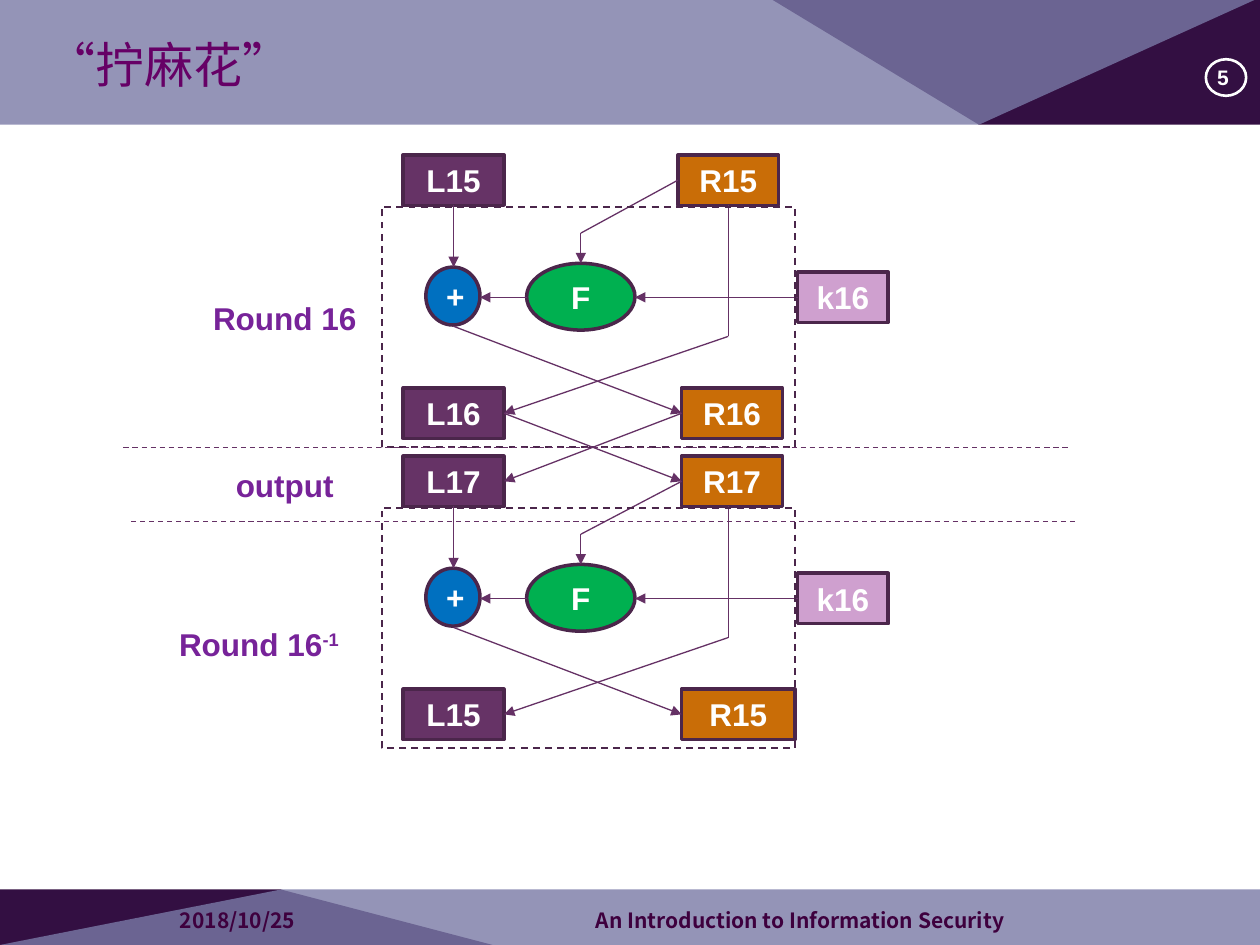
from lxml import etree
from pptx import Presentation
from pptx.dml.color import RGBColor
from pptx.enum.dml import MSO_LINE
from pptx.enum.shapes import MSO_CONNECTOR, MSO_SHAPE
from pptx.enum.text import MSO_ANCHOR, PP_ALIGN
from pptx.oxml.ns import qn
from pptx.util import Inches, Pt

RECT, OVAL = MSO_SHAPE.RECTANGLE, MSO_SHAPE.OVAL
STRAIGHT, DASH = MSO_CONNECTOR.STRAIGHT, MSO_LINE.DASH
MIDDLE, LEFT, CENTER = MSO_ANCHOR.MIDDLE, PP_ALIGN.LEFT, PP_ALIGN.CENTER
TOP_SITE, LEFT_SITE, BOTTOM_SITE, RIGHT_SITE = range(4)
LATIN, CJK = "Arial", "Noto Sans CJK SC"
COLORS = {
    "dark": "330F42", "band": "7A7AA6", "title": "660066", "footer": "3E003E",
    "white": "FFFFFF", "left": "663366", "right": "C96D07", "function": "00B050",
    "xor": "0070C0", "key": "CFA0CF", "border": "4B264B", "arrow": "653165",
    "label": "772399",
}
ROUND_STEP = 2.39


def rgb(name):
    return RGBColor.from_string(COLORS[name])


class Diagram:
    """Draws styled elements on the current slide; lengths are in inches."""

    def __init__(self, slide):
        self.s = slide

    def fill_text(self, sp, text, color, size=18, font=LATIN, bold=True, align=CENTER, sup=""):
        tf = sp.text_frame
        tf.word_wrap, tf.vertical_anchor = True, MIDDLE
        p = tf.paragraphs[0]
        p.alignment = align
        for part in filter(None, (text, sup)):
            r = p.add_run()
            r.text = part
            for key, value in {"size": Pt(size), "name": font, "bold": bold}.items():
                setattr(r.font, key, value)
            r.font.color.rgb = rgb(color)
            rPr = r._r.get_or_add_rPr()
            if font == CJK:
                etree.SubElement(rPr, qn("a:ea"), typeface=CJK)
            if part is sup:
                rPr.set("baseline", "30000")

    def title(self, box, text):
        sp = self.s.shapes.title
        for key, value in zip(("left", "top", "width", "height"), box):
            setattr(sp, key, Inches(value))
        self.fill_text(sp, text, "title", 28, CJK, False, LEFT)

    def text(self, box, text, color, **style):
        sp = self.s.shapes.add_textbox(*map(Inches, box))
        self.fill_text(sp, text, color, **style)

    def node(self, kind, box, text="", fill=None, line="border", weight=2, dash=None, size=18):
        sp = self.s.shapes.add_shape(kind, *map(Inches, box))
        sp.shadow.inherit = False
        if fill:
            sp.fill.solid()
            sp.fill.fore_color.rgb = rgb(fill)
        else:
            sp.fill.background()
        sp.line.color.rgb = rgb(line)
        sp.line.width = Pt(weight)
        if dash:
            sp.line.dash_style = dash
        if text:
            self.fill_text(sp, text, "white", size)
        return sp

    def polygon(self, points, fill, opacity=100):
        pts = [(Inches(x), Inches(y)) for x, y in points]
        builder = self.s.shapes.build_freeform(*pts[0], scale=1.0)
        builder.add_line_segments(pts[1:], close=True)
        sp = builder.convert_to_shape()
        sp.shadow.inherit = False
        sp.line.fill.background()
        sp.fill.solid()
        sp.fill.fore_color.rgb = rgb(fill)
        if opacity < 100:
            color = sp._element.spPr.find(qn("a:solidFill"))[0]
            etree.SubElement(color, qn("a:alpha"), val=str(opacity * 1000))

    def line(self, start, end, arrow=True, dash=None):
        """Each end is either an (x, y) point or a (shape, site) pair."""
        joined = [not isinstance(e[0], (int, float)) for e in (start, end)]
        points = [(0, 0) if j else e for j, e in zip(joined, (start, end))]
        c = self.s.shapes.add_connector(STRAIGHT, *(Inches(v) for pt in points for v in pt))
        if joined[0]:
            c.begin_connect(*start)
        if joined[1]:
            c.end_connect(*end)
        c.line.color.rgb = rgb("arrow")
        c.line.width = Pt(0.75)
        if dash:
            c.line.dash_style = dash
        spPr = c._element.spPr
        if arrow:
            etree.SubElement(spPr.find(qn("a:ln")), qn("a:tailEnd"), type="triangle")
        etree.SubElement(spPr, qn("a:effectLst"))

    def half(self, x, y, text, side, width=0.8):
        return self.node(RECT, (x, y, width, 0.4), text, side)

    def round(self, dy, left_in, right_in, left_out, right_out, out_width=0.8):
        """One Feistel round, shifted down by dy; returns its four half blocks."""
        right_x = 5.41 if dy else 5.38
        l_in = self.half(3.2, 1.23 + dy, left_in, "left")
        r_in = self.half(right_x, 1.23 + dy, right_in, "right")
        l_out = self.half(3.2, 3.08 + dy, left_out, "left")
        r_out = self.half(5.41, 3.08 + dy, right_out, "right", out_width)
        self.node(OVAL, (4.18, 2.09 + dy, 0.86, 0.53), "F", "function")
        self.node(OVAL, (3.38, 2.12 + dy, 0.43, 0.46), "+", "xor")
        key = self.node(RECT, (6.33, 2.16 + dy, 0.72, 0.4), "k16", "key")
        bend, turn, mid = (4.61, 1.85 + dy), (5.78, 2.67 + dy), 2.36 + dy
        self.line((r_in, LEFT_SITE), bend, arrow=False)
        self.line(bend, (4.61, 2.09 + dy))
        self.line((l_in, BOTTOM_SITE), (3.6, 2.12 + dy))
        self.line((4.18, mid), (3.81, mid))
        self.line((key, LEFT_SITE), (5.04, mid))
        self.line((3.6, 2.59 + dy), (r_out, LEFT_SITE))
        self.line((5.78, 1.63 + dy), turn, arrow=False)
        self.line(turn, (l_out, RIGHT_SITE))
        self.node(RECT, (3.03, 1.64 + dy, 3.28, 1.91), weight=1, dash=DASH)
        return l_in, r_in, l_out, r_out


def main():
    prs = Presentation()
    prs.slide_width, prs.slide_height = Inches(10), Inches(7.5)
    d = Diagram(prs.slides.add_slide(prs.slide_layouts[5]))

    d.polygon([(0, 7.5), (0, 7.06), (2.23, 7.06), (3.91, 7.5)], "dark")
    d.polygon([(0, 7.5), (2.23, 7.06), (10, 7.06), (10, 7.5)], "band", 80)
    d.polygon([(10, -0.02), (10, 0.99), (7.77, 0.99), (6.1, -0.02)], "dark")
    d.polygon([(10, -0.02), (7.77, 0.99), (0, 0.99), (0, -0.02)], "band", 80)

    # The title placeholder comes first in the layout; bring it above the bands.
    title = d.s.shapes.title._element
    title.getparent().append(title)
    d.title((0.27, 0.21, 6.38, 0.6), "“拧麻花”")
    number = d.node(OVAL, (9.57, 0.47, 0.32, 0.29), "5 ", line="white", weight=1.5, size=12)
    for side in ("left", "top", "right", "bottom"):
        setattr(number.text_frame, f"margin_{side}", Inches(0.01))
    for x, width, text in ((1.33, 2.33, "2018/10/25"),
                           (4.63, 4.78, "An Introduction to Information Security")):
        d.text((x, 7.16, width, 0.29), text, "footer", size=12, font=CJK, align=LEFT)

    _, _, l16, r16 = d.round(0, "L15", "R15", "L16", "R16")
    l17, r17, _, _ = d.round(ROUND_STEP, "L17", "R17", "L15", "R15", out_width=0.9)
    d.line((l16, RIGHT_SITE), (r17, LEFT_SITE))
    d.line((r16, LEFT_SITE), (l17, RIGHT_SITE))
    for x, y in ((0.98, 3.55), (1.04, 4.14)):
        d.line((x, y), (x + 7.5, y), arrow=False, dash=DASH)

    d.text((1.54, 2.32, 1.44, 0.4), "Round 16", "label")
    d.text((1.54, 3.65, 1.44, 0.4), "output", "label")
    d.text((1.14, 4.91, 1.83, 0.4), "Round 16", "label", sup="-1")
    prs.save("out.pptx")


if __name__ == "__main__":
    main()
